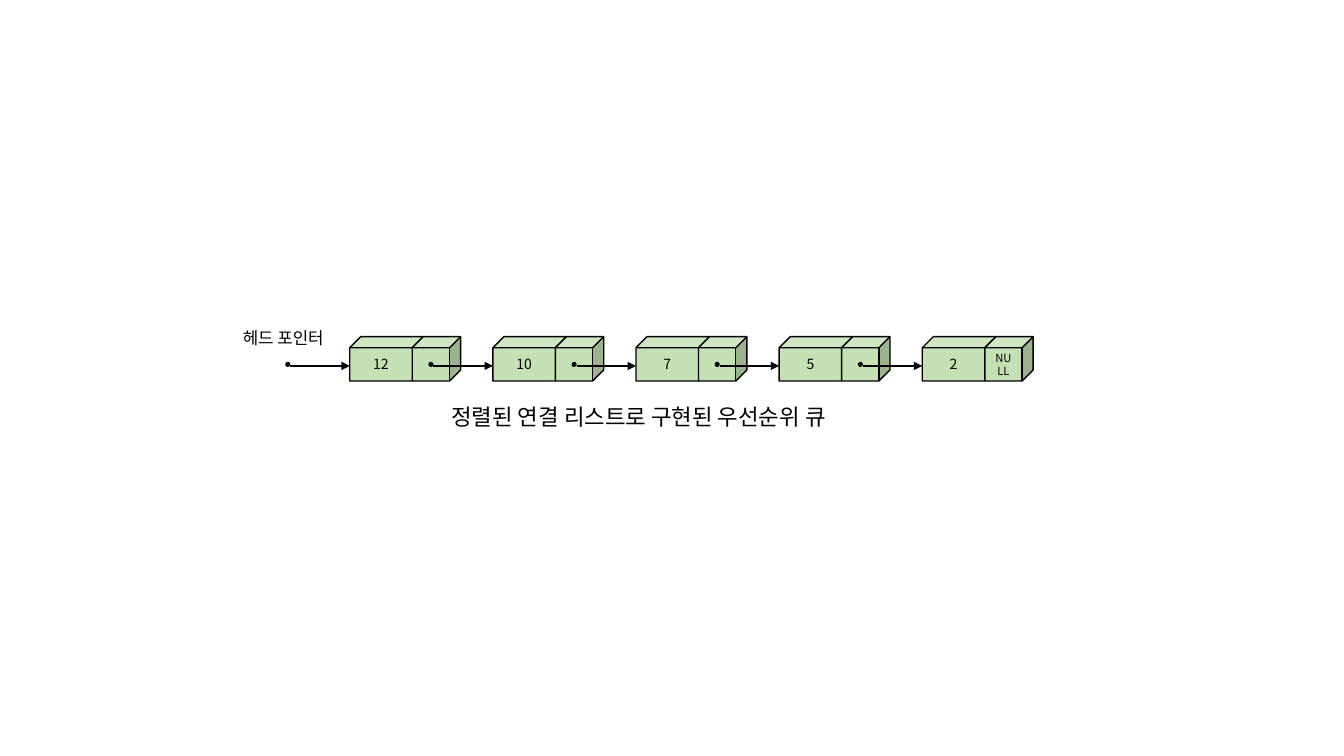
from lxml import etree
from pptx import Presentation
from pptx.dml.color import RGBColor
from pptx.enum import shapes, text
from pptx.oxml import ns
from pptx.util import Pt

BLACK = RGBColor(0x00, 0x00, 0x00)
GREEN = RGBColor(0xC5, 0xE0, 0xB4)

VALUES = [12, 10, 7, 5, 2]
FIRST_LEFT = 249.84
NODE_TOP = 240.48
NODE_PITCH = 102.24
LINK_OFFSET = 44.64
POINTER_LENGTH = 42.48
POINTER_Y = 261.36
DOT_SIZE = 3.6


class ListDiagram:
    font = "Noto Sans CJK KR"

    def __init__(self, page):
        self.shapes = page.shapes

    def set_words(self, shape, words, size):
        para = shape.text_frame.paragraphs[0]
        para.text = words
        para.alignment = text.PP_ALIGN.CENTER
        span = para.runs[0]
        span.font.size = Pt(size)
        span.font.name = self.font
        span.font.color.rgb = BLACK
        properties = span.font._element
        etree.SubElement(properties, ns.qn("a:ea"), typeface=self.font)

    def label(self, left, top, width, height, words, size):
        box = self.shapes.add_textbox(Pt(left), Pt(top), Pt(width), Pt(height))
        box.text_frame.word_wrap = True
        box.text_frame.auto_size = text.MSO_AUTO_SIZE.SHAPE_TO_FIT_TEXT
        self.set_words(box, words, size)

    def cube(self, left, width, words="", size=10):
        cube = self.shapes.add_shape(
            shapes.MSO_SHAPE.CUBE, Pt(left), Pt(NODE_TOP), Pt(width), Pt(31.68))
        cube.shadow.inherit = False
        cube.fill.solid()
        cube.fill.fore_color.rgb = GREEN
        cube.line.color.rgb = BLACK
        cube.line.width = Pt(1)
        cube.text_frame.vertical_anchor = text.MSO_ANCHOR.MIDDLE
        if words:
            self.set_words(cube, words, size)

    def node(self, left, value, link=""):
        self.cube(left, 52.56, str(value))
        self.cube(left + LINK_OFFSET, 34.56, link, 8)

    def pointer(self, target):
        start = target - POINTER_LENGTH
        arrow = self.shapes.add_connector(
            shapes.MSO_CONNECTOR.STRAIGHT,
            Pt(start), Pt(POINTER_Y), Pt(target), Pt(POINTER_Y))
        arrow.line.color.rgb = BLACK
        arrow.line.width = Pt(1)
        outline = arrow.line._get_or_add_ln()
        etree.SubElement(outline, ns.qn("a:tailEnd"), type="triangle")
        etree.SubElement(arrow._element.spPr, ns.qn("a:effectLst"))
        dot = self.shapes.add_shape(
            shapes.MSO_SHAPE.OVAL, Pt(start - DOT_SIZE), Pt(258.48),
            Pt(DOT_SIZE), Pt(DOT_SIZE))
        dot.shadow.inherit = False
        dot.fill.solid()
        dot.fill.fore_color.rgb = BLACK
        dot.line.fill.background()


def main():
    deck = Presentation()
    deck.slide_width, deck.slide_height = Pt(960), Pt(540)
    page = deck.slides.add_slide(deck.slide_layouts[6])
    diagram = ListDiagram(page)

    last = len(VALUES) - 1
    for index, value in enumerate(VALUES):
        left = FIRST_LEFT + index * NODE_PITCH
        diagram.node(left, value, "NULL" if index == last else "")
        if index < last:
            diagram.pointer(left + NODE_PITCH)

    diagram.pointer(FIRST_LEFT)
    diagram.label(158.4, 230.4, 87.84, 21.6, "헤드 포인터", 12)
    diagram.label(277.92, 284.4, 356.4, 26.64,
                  "정렬된 연결 리스트로 구현된 우선순위 큐", 16)
    deck.save("out.pptx")


if __name__ == "__main__":
    main()
